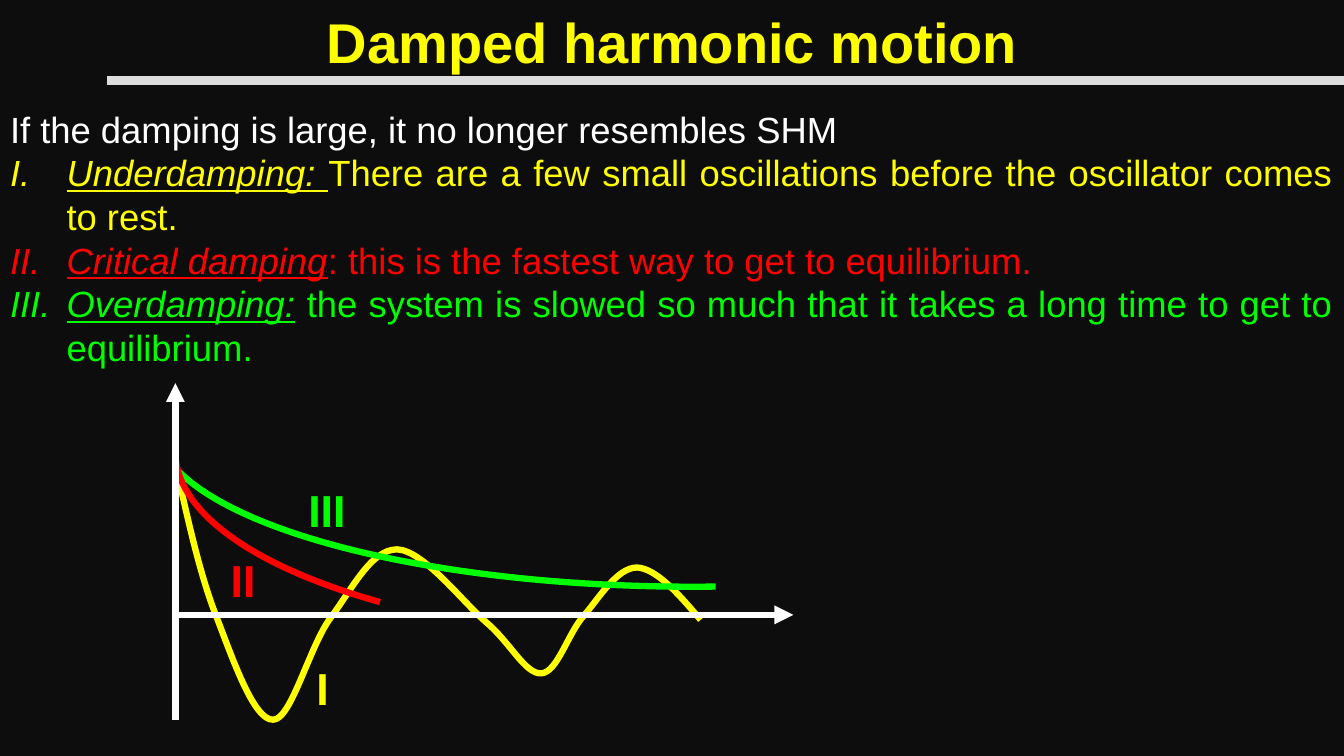
from dataclasses import dataclass

from lxml import etree
from pptx import Presentation
from pptx import util as u
from pptx.dml import color
from pptx.enum import shapes, text
from pptx.oxml import ns

WIDTH, HEIGHT = u.Inches(13.33), u.Inches(7.5)
FONT = "Arial"
COLORS = {
    "night": "0D0D0D",
    "rule": "DDDDDD",
    "white": "FFFFFF",
    "yellow": "FFFF00",
    "red": "FF0000",
    "green": "00FF00",
}
CURVE_POINTS = [
    (13.35, 63.73),
    (14.18, 70.27), (15, 76.67), (16.2, 82),
    (17.33, 87.2), (18.9, 95.33), (20.33, 95.2),
    (21.68, 95.2), (23.03, 85.47), (24.6, 81.73),
    (26.18, 78), (27.6, 72.67), (29.55, 72.67),
    (31.5, 72.8), (34.35, 79.47), (36.15, 82.27),
    (37.95, 84.93), (39.08, 89.2), (40.28, 89.07),
    (41.48, 88.93), (42.23, 83.87), (43.43, 81.47),
    (44.55, 79.2), (45.9, 75.07), (47.4, 75.07),
    (48.83, 75.2), (50.48, 78.53), (52.13, 82),
]


@dataclass(frozen=True)
class Area:
    left: float
    top: float
    width: float
    height: float

    def lengths(self):
        return (across(self.left), down(self.top),
                across(self.width), down(self.height))


@dataclass(frozen=True)
class Regime:
    term: str
    meaning: str
    color: str


@dataclass(frozen=True)
class Line:
    start: tuple[float, float]
    end: tuple[float, float]
    color: str
    points: float
    arrow: bool


@dataclass(frozen=True)
class Decay:
    area: Area
    angles: tuple[float, float]
    color: str


@dataclass(frozen=True)
class Label:
    numeral: str
    area: Area
    color: str


REGIMES = [
    Regime("Underdamping: ", "There are a few small oscillations before the "
           "oscillator comes to rest.", "yellow"),
    Regime("Critical damping", ": this is the fastest way to get to equilibrium.", "red"),
    Regime("Overdamping:", " the system is slowed so much that it takes a long "
           "time to get to equilibrium.", "green"),
]
TITLE_RULE = Line((7.95, 10.67), (100, 10.67), "rule", 6, False)
TIME_AXIS = Line((13.05, 81.33), (59.03, 81.33), "white", 4.5, True)
DISPLACEMENT_AXIS = Line((13.05, 95.2), (13.05, 50.67), "white", 4.5, True)
DECAYS = [
    Decay(Area(11.55, 34.53, 79.88, 43.07), (157.04, 213.08), "green"),
    Decay(Area(13.05, 34.53, 79.88, 50.53), (201.41, 0.56), "red"),
]
LABELS = [
    Label("I", Area(22.8, 86.8, 2.48, 8.53), "yellow"),
    Label("III", Area(22.2, 63.2, 4.35, 8.53), "green"),
    Label("II", Area(16.43, 72.4, 3.38, 8.53), "red"),
]


def across(percent: float) -> int:
    return round(WIDTH * percent / 100)


def down(percent: float) -> int:
    return round(HEIGHT * percent / 100)


def rgb(name: str) -> color.RGBColor:
    return color.RGBColor.from_string(COLORS[name])


def style_font(font, size: float, tint: str, bold: bool = False) -> None:
    font.name, font.size, font.bold = FONT, u.Pt(size), bold
    font.color.rgb = rgb(tint)


def style_line(line, tint: str, points: float) -> None:
    line.color.rgb = rgb(tint)
    line.width = u.Pt(points)


def place(box, area: Area) -> None:
    box.left, box.top, box.width, box.height = area.lengths()
    frame = box.text_frame
    frame.word_wrap = True
    frame.auto_size = text.MSO_AUTO_SIZE.NONE
    frame.vertical_anchor = text.MSO_ANCHOR.TOP


def set_bullet(para, numbered: bool) -> None:
    properties = para._p.get_or_add_pPr()
    indent = u.Inches(0.56) if numbered else 0
    properties.set("marL", str(indent))
    properties.set("indent", str(-indent))
    if numbered:
        etree.SubElement(properties, ns.qn("a:buFont"), typeface=FONT)
        etree.SubElement(properties, ns.qn("a:buAutoNum"), type="romanUcPeriod")
    else:
        etree.SubElement(properties, ns.qn("a:buNone"))


def format_body_para(para, numbered: bool) -> None:
    set_bullet(para, numbered)
    para.alignment = text.PP_ALIGN.JUSTIFY
    para.space_before = para.space_after = u.Pt(0)
    para.line_spacing = 1.0


def write_title(page) -> None:
    title = page.shapes.title
    place(title, Area(0, 0.27, 100, 10.27))
    title.text_frame.text = "Damped harmonic motion"
    para = title.text_frame.paragraphs[0]
    para.alignment = text.PP_ALIGN.CENTER
    style_font(para.runs[0].font, 40, "yellow", bold=True)


def write_body(page) -> None:
    body = page.placeholders[1]
    place(body, Area(0, 13.47, 100, 36.4))
    body.text_frame.text = "If the damping is large, it no longer resembles SHM"
    intro = body.text_frame.paragraphs[0]
    format_body_para(intro, numbered=False)
    style_font(intro.runs[0].font, 26, "white")
    for regime in REGIMES:
        para = body.text_frame.add_paragraph()
        para.text = regime.term
        format_body_para(para, numbered=True)
        para.add_run().text = regime.meaning
        for span in para.runs:
            style_font(span.font, 26, regime.color)
        para.runs[0].font.italic = para.runs[0].font.underline = True


def draw_line(page, item: Line) -> None:
    (x1, y1), (x2, y2) = item.start, item.end
    line = page.shapes.add_connector(
        shapes.MSO_CONNECTOR.STRAIGHT, across(x1), down(y1), across(x2), down(y2))
    style_line(line.line, item.color, item.points)
    if item.arrow:
        etree.SubElement(line.line._get_or_add_ln(), ns.qn("a:tailEnd"), type="triangle")
    etree.SubElement(line._element.spPr, ns.qn("a:effectLst"))


def bend_segments(curve) -> None:
    segments = list(curve._element.iter(ns.qn("a:lnTo")))
    for first in range(0, len(segments), 3):
        bend = etree.Element(ns.qn("a:cubicBezTo"))
        segments[first].addprevious(bend)
        for segment in segments[first:first + 3]:
            bend.append(segment[0])
            segment.getparent().remove(segment)


def draw_oscillation(page) -> None:
    start, *controls = [(across(x), down(y)) for x, y in CURVE_POINTS]
    builder = page.shapes.build_freeform(*start)
    builder.add_line_segments(controls, close=False)
    curve = builder.convert_to_shape()
    bend_segments(curve)
    curve.shadow.inherit = False
    curve.fill.background()
    style_line(curve.line, "yellow", 4.5)


def draw_decay(page, decay: Decay) -> None:
    arc = page.shapes.add_shape(shapes.MSO_SHAPE.ARC, *decay.area.lengths())
    arc.adjustments[0], arc.adjustments[1] = decay.angles
    arc.rotation = 180
    arc.shadow.inherit = False
    arc.fill.background()
    style_line(arc.line, decay.color, 4.5)


def write_label(page, label: Label) -> None:
    box = page.shapes.add_textbox(*label.area.lengths())
    box.text_frame.word_wrap = False
    box.text_frame.text = label.numeral
    style_font(box.text_frame.paragraphs[0].runs[0].font, 32, label.color, bold=True)


def main() -> None:
    deck = Presentation()
    deck.slide_width, deck.slide_height = WIDTH, HEIGHT
    page = deck.slides.add_slide(deck.slide_layouts[1])
    page.background.fill.solid()
    page.background.fill.fore_color.rgb = rgb("night")
    write_title(page)
    write_body(page)
    draw_line(page, TITLE_RULE)
    draw_oscillation(page)
    draw_line(page, TIME_AXIS)
    for decay in DECAYS:
        draw_decay(page, decay)
    draw_line(page, DISPLACEMENT_AXIS)
    for label in LABELS:
        write_label(page, label)
    deck.save("out.pptx")


if __name__ == "__main__":
    main()
